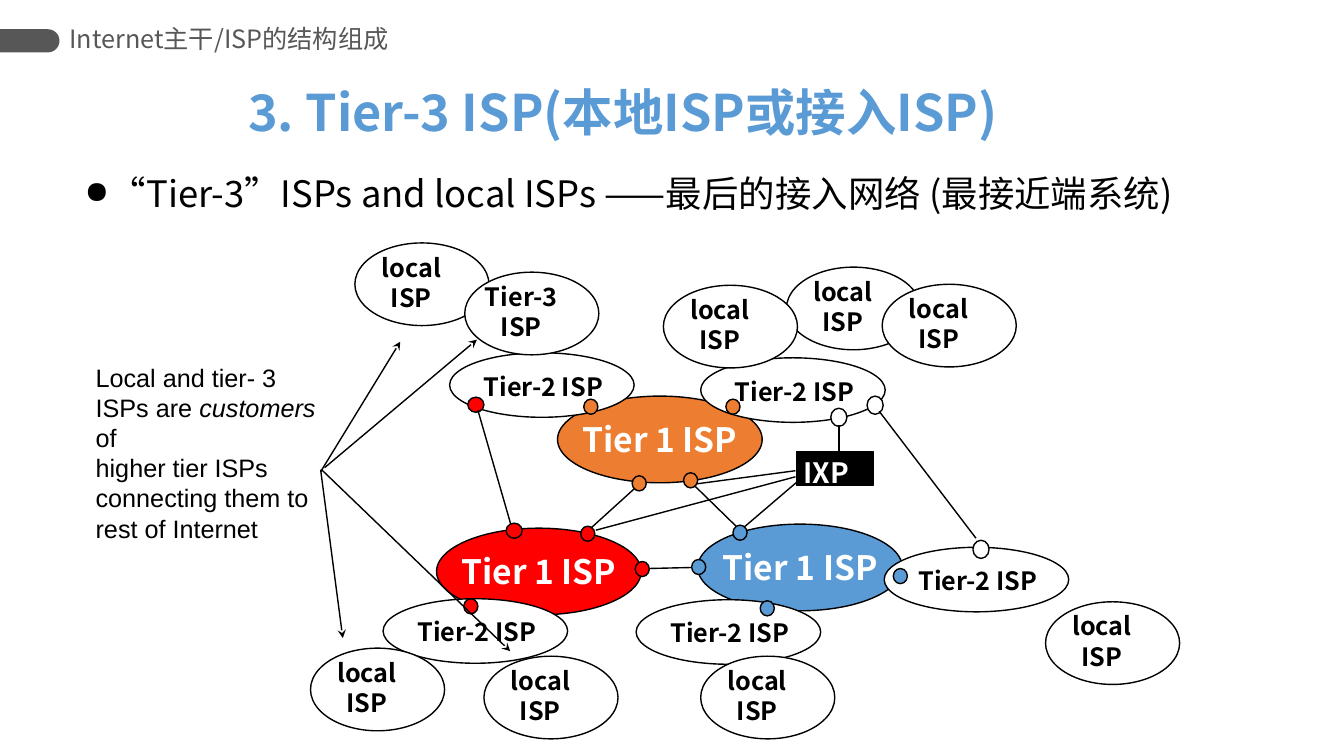
from dataclasses import dataclass
from typing import Any, Optional

import lxml.etree
import pptx
import pptx.dml.color
import pptx.enum.shapes
import pptx.enum.text
import pptx.oxml.ns
import pptx.util

PX = 9144
CJK = "Noto Sans CJK SC"
COLORS = {
    "black": "000000",
    "white": "FFFFFF",
    "red": "FF0000",
    "orange": "ED7D31",
    "blue": "5B9BD5",
    "grey": "575757",
}
Shape = pptx.enum.shapes.MSO_SHAPE
Align = pptx.enum.text.PP_ALIGN
Anchor = pptx.enum.text.MSO_ANCHOR
AutoSize = pptx.enum.text.MSO_AUTO_SIZE
qn = pptx.oxml.ns.qn


@dataclass(frozen=True)
class Box:
    left: int
    top: int
    width: int
    height: int

    def emu(self) -> list[int]:
        return [n * PX for n in (self.left, self.top, self.width, self.height)]


@dataclass(frozen=True)
class Backbone:
    left: int
    top: int
    color: str


@dataclass(frozen=True)
class Dot:
    left: int
    top: int
    color: str
    width: int = 14
    height: int = 15


@dataclass(frozen=True)
class Link:
    x1: int
    y1: int
    x2: int
    y2: int
    arrow: bool = False


@dataclass(frozen=True)
class Provider:
    left: int
    top: int
    name: str = "local"


BACKBONES = [Backbone(433, 524, "red"), Backbone(553, 393, "orange"), Backbone(692, 520, "blue")]
BACKBONE_DOTS = [
    Dot(727, 521, "blue"), Dot(678, 469, "orange"), Dot(627, 472, "orange"),
    Dot(576, 522, "red"), Dot(630, 557, "red"), Dot(686, 555, "blue"),
]
BACKBONE_LINKS = [Link(644, 564, 686, 563), Link(689, 482, 730, 522), Link(586, 524, 629, 485)]
IXP_LINKS = [Link(793, 476, 738, 523), Link(789, 467, 691, 480), Link(789, 473, 591, 526)]
TIER_2 = [(695, 355), (446, 350), (380, 594), (631, 595), (877, 543)]
TIER_2_DOTS = [
    Dot(720, 396, "orange"), Dot(579, 396, "orange"), Dot(460, 594, "red"),
    Dot(754, 596, "blue"), Dot(886, 564, "blue"), Dot(464, 394, "red", 16),
    Dot(860, 393, "white", 16, 18), Dot(965, 536, "white", 16, 18), Dot(824, 405, "white", 16, 18),
]
TIER_2_LINKS = [Link(474, 407, 508, 525), Link(872, 408, 968, 534), Link(832, 422, 832, 448)]
UPLINK_DOT = Dot(502, 519, "red", 16)
PROVIDERS = [
    Provider(780, 265), Provider(658, 283), Provider(875, 282),
    Provider(308, 643), Provider(352, 241), Provider(461, 270, "Tier-3"),
    Provider(480, 651), Provider(695, 651), Provider(1037, 597),
]
CUSTOMER_ARROWS = [
    Link(318, 468, 397, 339, True), Link(322, 464, 473, 337, True),
    Link(318, 466, 340, 633, True), Link(319, 466, 506, 646, True),
]


def rgb(color: str) -> pptx.dml.color.RGBColor:
    return pptx.dml.color.RGBColor.from_string(COLORS[color])


def style(paragraph: Any, size: int, color: str, bold: bool = False,
          face: str = CJK, align: Any = Align.LEFT) -> None:
    paragraph.alignment = align
    font = paragraph.font
    font.size = pptx.util.Pt(size)
    font.bold = bold
    font.color.rgb = rgb(color)
    font.name = face
    defaults = paragraph._p.pPr.find(qn("a:defRPr"))
    lxml.etree.SubElement(defaults, qn("a:ea")).set("typeface", face)


def add_outline(slide: Any, kind: Any, box: Box, fill: str, line: Optional[str] = "black") -> Any:
    outline = slide.shapes.add_shape(kind, *box.emu())
    outline.shadow.inherit = False
    outline.fill.solid()
    outline.fill.fore_color.rgb = rgb(fill)
    if line is None:
        outline.line.fill.background()
    else:
        outline.line.color.rgb = rgb(line)
        outline.line.width = pptx.util.Pt(1)
    return outline


def add_dot(slide: Any, dot: Dot) -> None:
    add_outline(slide, Shape.OVAL, Box(dot.left, dot.top, dot.width, dot.height), dot.color)


def add_text(slide: Any, box: Box, text: str, wrap: bool = False) -> Any:
    frame = slide.shapes.add_textbox(*box.emu()).text_frame
    frame.word_wrap = wrap
    frame.auto_size = AutoSize.NONE if wrap else AutoSize.SHAPE_TO_FIT_TEXT
    frame.text = text
    return frame


def add_label(slide: Any, box: Box, text: str, size: int, color: str, align: Any = Align.LEFT) -> None:
    for paragraph in add_text(slide, box, text).paragraphs:
        style(paragraph, size, color, True, align=align)


def add_link(slide: Any, link: Link) -> None:
    ends = [n * PX for n in (link.x1, link.y1, link.x2, link.y2)]
    connector = slide.shapes.add_connector(pptx.enum.shapes.MSO_CONNECTOR.STRAIGHT, *ends)
    connector.line.color.rgb = rgb("black")
    connector.line.width = pptx.util.Pt(1)
    properties = connector._element.spPr
    if link.arrow:
        lxml.etree.SubElement(properties.find(qn("a:ln")), qn("a:tailEnd")).set("type", "stealth")
    lxml.etree.SubElement(properties, qn("a:effectLst"))


def add_heading(slide: Any) -> None:
    add_outline(slide, Shape.ROUND_2_SAME_RECTANGLE, Box(18, 11, 23, 59), "grey", None)
    tab = slide.shapes[-1]
    tab.adjustments[0] = 0.5
    tab.rotation = 90

    section = add_text(slide, Box(69, 24, 358, 29), "Internet主干/ISP的结构组成", True)
    section.margin_left = section.margin_right = 0
    section.vertical_anchor = Anchor.MIDDLE
    style(section.paragraphs[0], 18, "grey")

    title = slide.shapes.title
    title.left, title.top, title.width, title.height = Box(236, 67, 885, 86).emu()
    title.text_frame.text = "3. Tier-3 ISP(本地ISP或接入ISP)"
    title.text_frame.auto_size = AutoSize.NONE
    title.text_frame.vertical_anchor = Anchor.MIDDLE
    style(title.text_frame.paragraphs[0], 36, "blue", True)

    summary = add_text(slide, Box(74, 170, 1135, 57),
                       "“Tier-3”ISPs and local ISPs ——最后的接入网络 (最接近端系统)", True).paragraphs[0]
    summary.line_spacing = 0.9
    layout = summary._p.get_or_add_pPr()
    layout.set("marL", str(25 * PX))
    layout.set("indent", str(-25 * PX))
    lxml.etree.SubElement(layout, qn("a:buSzPct")).set("val", "85000")
    lxml.etree.SubElement(layout, qn("a:buChar")).set("char", "●")
    style(summary, 26, "black")


def add_network(slide: Any) -> None:
    for backbone in BACKBONES:
        oval = add_outline(slide, Shape.OVAL, Box(backbone.left, backbone.top, 203, 86), backbone.color)
        oval.text_frame.word_wrap = False
        oval.text_frame.vertical_anchor = Anchor.MIDDLE
        oval.text_frame.text = "Tier 1 ISP"
        style(oval.text_frame.paragraphs[0], 24, "white", True, align=Align.CENTER)
    for dot in BACKBONE_DOTS:
        add_dot(slide, dot)
    for link in BACKBONE_LINKS:
        add_link(slide, link)
    add_outline(slide, Shape.RECTANGLE, Box(790, 448, 76, 34), "black")
    add_label(slide, Box(787, 447, 70, 44), "IXP", 20, "white")
    for link in IXP_LINKS:
        add_link(slide, link)
    for left, top in TIER_2:
        add_outline(slide, Shape.OVAL, Box(left, top, 183, 64), "white")
        add_label(slide, Box(left + 24, top + 13, 142, 40), "Tier-2 ISP", 18, "black")
    for dot in TIER_2_DOTS:
        add_dot(slide, dot)
    for link in TIER_2_LINKS:
        add_link(slide, link)
    add_dot(slide, UPLINK_DOT)
    for provider in PROVIDERS:
        add_outline(slide, Shape.OVAL, Box(provider.left, provider.top, 133, 82), "white")
        inset, width = (16, 80) if provider.name == "local" else (9, 94)
        add_label(slide, Box(provider.left + inset, provider.top + 4, width, 71),
                  f"{provider.name}\nISP", 18, "black", Align.CENTER)


def add_customers(slide: Any) -> None:
    note = add_text(slide, Box(85, 354, 258, 192),
                    "\nhigher tier ISPs\nconnecting them to rest of Internet", True)
    for words in ("Local and tier- 3 ISPs are ", "customers", " of"):
        run = note.paragraphs[0].add_run()
        run.text = words
        if words == "customers":
            run.font.italic = True
    for paragraph in note.paragraphs:
        style(paragraph, 18, "black", face="Arial")
    for arrow in CUSTOMER_ARROWS:
        add_link(slide, arrow)


def main() -> None:
    deck = pptx.Presentation()
    deck.slide_width, deck.slide_height = 1333 * PX, 750 * PX
    slide = deck.slides.add_slide(deck.slide_layouts.get_by_name("Title Only"))
    add_heading(slide)
    add_network(slide)
    add_customers(slide)
    deck.save("out.pptx")


if __name__ == "__main__":
    main()
